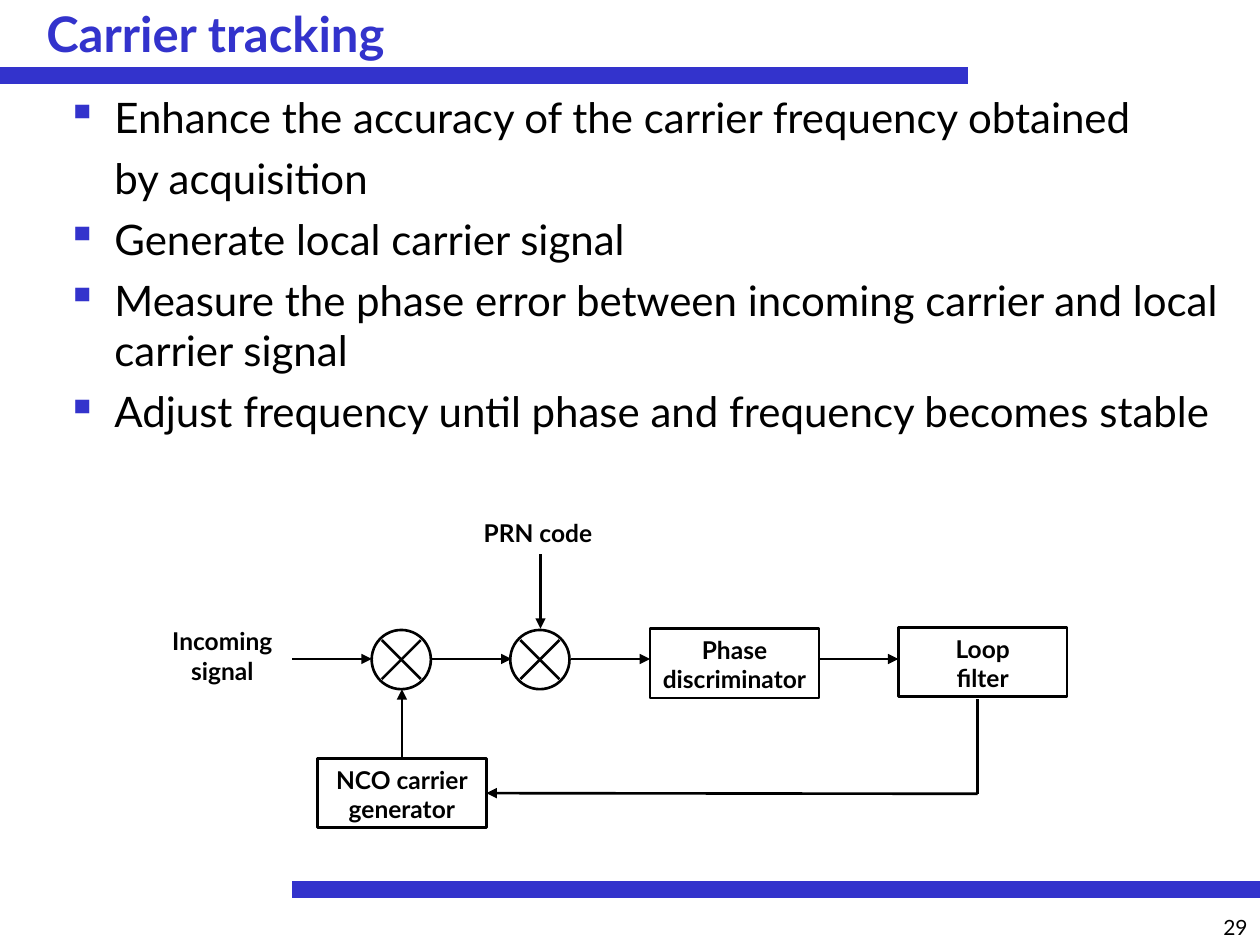
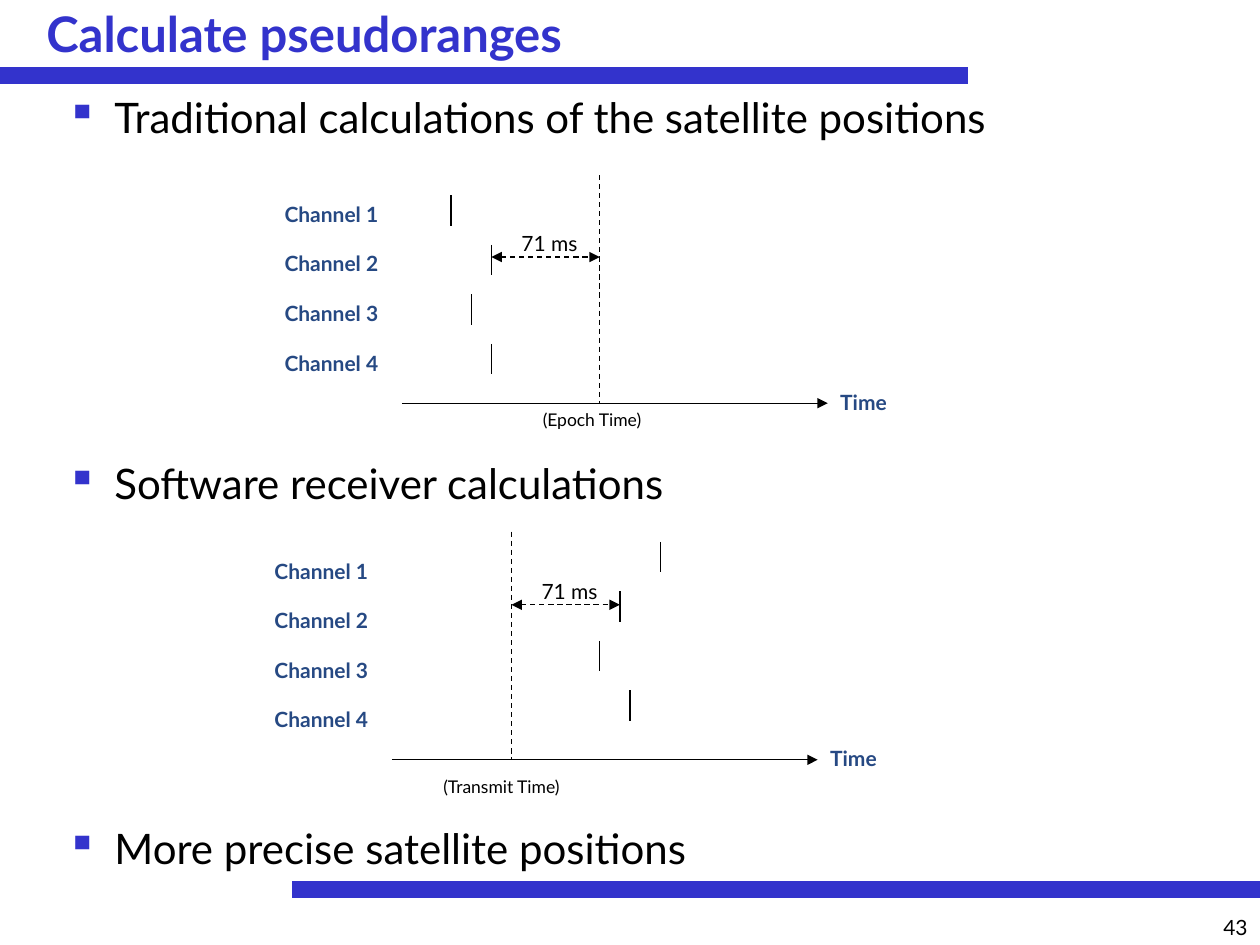
import pptx
import pptx.util
import pptx.dml.color
import pptx.enum.dml
import pptx.enum.shapes
import pptx.enum.text
import pptx.oxml
import pptx.oxml.ns

Inches, Pt = pptx.util.Inches, pptx.util.Pt
RGB = pptx.dml.color.RGBColor
ALIGN = pptx.enum.text.PP_ALIGN
ANCHOR = pptx.enum.text.MSO_ANCHOR
SHAPE = pptx.enum.shapes.MSO_SHAPE
STRAIGHT = pptx.enum.shapes.MSO_CONNECTOR.STRAIGHT
DASH = pptx.enum.dml.MSO_LINE.DASH

# Shared look
BLUE = RGB(0x33, 0x33, 0xCC)
NAVY = RGB(0x26, 0x49, 0x83)
BLACK = RGB(0, 0, 0)
FONT = "Lato"
BANDS = [((0, 0.6), (7.68, 0.6)), ((2.32, 7.06), (10, 7.06))]
HANG = 0.38
DIAGRAM_GAP = 180  # points kept free between bullets for a timeline

# Carrier tracking: (text, bulleted, space before)
TRACKING_POINTS = [
    ("Enhance the accuracy of the carrier frequency obtained", True, 6),
    ("by acquisition", False, 6),
    ("Generate local carrier signal", True, 6),
    ("Measure the phase error between incoming carrier and local carrier signal", True, 6),
    ("Adjust frequency until phase and frequency becomes stable", True, 6),
]
BLOCK_SIZE = (1.34, 0.55)
BLOCKS = {
    "nco": ("NCO carrier\ngenerator", 2.52, 6.02),
    "discriminator": ("Phase\ndiscriminator", 5.16, 4.99),
    "filter": ("Loop\nfilter", 7.13, 4.98),
}
MIXER_LEFTS = [2.95, 4.05]
MIXER_TOP, MIXER_SIZE, CROSS_INSET = 5, 0.47, 0.08
SIGNAL_LABELS = [
    ("Incoming\nsignal", (1.2, 4.92, 1.13, 0.57)),
    ("PRN code", (3.71, 4.06, 1.12, 0.34)),
]
SIGNAL_Y = 5.23
SIGNAL_HOPS = [(2.32, 2.95), (3.43, 4.06), (4.53, 5.16), (6.5, 7.13)]
FEEDBACK_X, FEEDBACK_Y = 7.76, 6.3

# Calculate pseudoranges
RANGE_POINTS = [
    ("Traditional calculations of the satellite positions", True, 6),
    ("Software receiver calculations", True, DIAGRAM_GAP),
    ("More precise satellite positions", True, DIAGRAM_GAP),
]
CHANNELS = ["Channel 1", "Channel 2", "Channel 3", "Channel 4"]
CHANNEL_PITCH, PULSE_HEIGHT, AXIS_LENGTH = 0.393, 0.24, 3.38
TIMELINES = [
    dict(axis=(3.19, 3.2), pulses=[3.58, 3.9, 3.74, 3.9], first_pulse=1.55,
         marker=4.76, span=(3.9, 4.76, 2.04),
         caption="(Epoch Time)", caption_box=(4.21, 3.2, 1.03, 0.27)),
    dict(axis=(3.11, 6.03), pulses=[5.24, 4.92, 4.76, 5], first_pulse=4.3,
         marker=4.06, span=(4.06, 4.92, 4.8),
         caption="(Transmit Time)", caption_box=(3.42, 6.11, 1.21, 0.27)),
]


def inches(values):
    return [Inches(value) for value in values]


def write(frame, text, size=14, bold=False, color=BLACK, align=ALIGN.LEFT,
          anchor=ANCHOR.TOP, wrap=True, side=0.1):
    frame.word_wrap = wrap
    frame.vertical_anchor = anchor
    frame.margin_left = frame.margin_right = Inches(side)
    frame.margin_top = frame.margin_bottom = Inches(0.05)
    for number, line in enumerate(text.split("\n")):
        paragraph = frame.add_paragraph() if number else frame.paragraphs[0]
        paragraph.alignment = align
        run = paragraph.add_run()
        run.text = line
        run.font.name, run.font.size, run.font.bold = FONT, Pt(size), bold
        run.font.color.rgb = color


def add_label(slide, text, box, **style):
    frame = slide.shapes.add_textbox(*inches(box)).text_frame
    write(frame, text, **style)
    return frame


def add_line(slide, start, end, width=1.5, color=BLACK, dash=None, heads=()):
    """heads lists the ends with an arrow: headEnd at start, tailEnd at end."""
    line = slide.shapes.add_connector(STRAIGHT, *inches(start + end))
    line.line.color.rgb, line.line.width = color, Pt(width)
    if dash:
        line.line.dash_style = dash
    outline = line.line._get_or_add_ln()
    for head in heads:
        arrow = pptx.oxml.ns.qn("a:" + head)
        outline.append(outline.makeelement(arrow, {"type": "triangle"}))
    properties = line._element.spPr
    properties.append(properties.makeelement(pptx.oxml.ns.qn("a:effectLst"), {}))
    return line


def add_outline(slide, kind, box):
    shape = slide.shapes.add_shape(kind, *inches(box))
    shape.shadow.inherit = False
    shape.fill.background()
    shape.line.color.rgb, shape.line.width = BLACK, Pt(1.5)
    return shape


def add_bullet(properties):
    namespace = pptx.oxml.ns.nsdecls("a")
    for xml in (f'<a:buClr {namespace}><a:srgbClr val="{BLUE}"/></a:buClr>',
                f'<a:buChar {namespace} char="▪"/>'):
        properties.append(pptx.oxml.parse_xml(xml))


def add_base(deck, title, points, number):
    slide = deck.slides.add_slide(deck.slide_layouts[6])
    for start, end in BANDS:
        add_line(slide, start, end, width=10, color=BLUE)
    add_label(slide, title, (0.27, 0.05, 7.4, 0.43), size=28, bold=True,
              color=BLUE, anchor=ANCHOR.MIDDLE)
    body = add_label(slide, "\n".join(point[0] for point in points),
                     (0.43, 0.68, 9.57, 6.3), size=24)
    for paragraph, (_, bulleted, space) in zip(body.paragraphs, points):
        paragraph.space_before = Pt(space)
        properties = paragraph._p.get_or_add_pPr()
        properties.set("marL", str(Inches(HANG)))
        properties.set("indent", str(Inches(-HANG) if bulleted else 0))
        if bulleted:
            add_bullet(properties)
    add_label(slide, str(number), (7.59, 7.21, 2.41, 0.28), size=12, align=ALIGN.RIGHT)
    return slide


def add_mixer(slide, left):
    add_outline(slide, SHAPE.OVAL, (left, MIXER_TOP, MIXER_SIZE, MIXER_SIZE))
    near, far = left + CROSS_INSET, left + MIXER_SIZE - CROSS_INSET
    top, bottom = MIXER_TOP + CROSS_INSET, MIXER_TOP + MIXER_SIZE - CROSS_INSET
    add_line(slide, (near, top), (far, bottom))
    add_line(slide, (far, top), (near, bottom))


def add_tracking_loop(slide):
    # Blocks, mixers and inputs
    blocks = {}
    for key, (text, left, top) in BLOCKS.items():
        blocks[key] = add_outline(slide, SHAPE.RECTANGLE, (left, top) + BLOCK_SIZE)
        write(blocks[key].text_frame, text, bold=True, align=ALIGN.CENTER, side=0.05)
    for left in MIXER_LEFTS:
        add_mixer(slide, left)
    for text, box in SIGNAL_LABELS:
        add_label(slide, text, box, bold=True, align=ALIGN.CENTER, wrap=False)

    # Signal path
    arrow = ["tailEnd"]
    for start, end in SIGNAL_HOPS:
        add_line(slide, (start, SIGNAL_Y), (end, SIGNAL_Y), heads=arrow)
    add_line(slide, (4.29, 4.4), (4.29, 4.99), heads=arrow)

    # Feedback path
    corner = (FEEDBACK_X, FEEDBACK_Y)
    add_line(slide, (FEEDBACK_X, 5.55), corner)
    feedback = add_line(slide, corner, (3.86, FEEDBACK_Y), heads=arrow)
    feedback.end_connect(blocks["nco"], 3)
    carrier = add_line(slide, (3.19, 6.02), (3.19, 5.47), heads=arrow)
    carrier.begin_connect(blocks["nco"], 0)


def add_timeline(slide, axis, pulses, first_pulse, marker, span, caption, caption_box):
    left, base = axis
    right = left + AXIS_LENGTH
    heading = dict(size=12, bold=True, color=NAVY)

    # Axis and reference time
    add_line(slide, axis, (right, base), width=0.75, heads=["tailEnd"])
    add_label(slide, "Time", (right, base - 0.16, 1.18, 0.3), **heading)
    add_line(slide, (marker, base - 1.81), (marker, base), width=0.75, dash=DASH)
    add_label(slide, caption, caption_box, size=10, wrap=False)

    # Channels
    for row, (channel, pulse) in enumerate(zip(CHANNELS, pulses)):
        offset = row * CHANNEL_PITCH
        add_label(slide, channel, (left - 1.03, base - 1.65 + offset, 1.18, 0.3), **heading)
        top = first_pulse + offset
        add_line(slide, (pulse, top), (pulse, top + PULSE_HEIGHT), width=0.75)

    # Travel time
    start, end, height = span
    add_line(slide, (start, height), (end, height), width=0.75, dash=DASH,
             heads=["headEnd", "tailEnd"])
    add_label(slide, "71 ms", (start + 0.14, height - 0.26, 0.67, 0.3), size=12, wrap=False)


def main():
    deck = pptx.Presentation()
    deck.slide_width, deck.slide_height = Inches(10), Inches(7.5)
    add_tracking_loop(add_base(deck, "Carrier tracking", TRACKING_POINTS, 29))
    pseudoranges = add_base(deck, "Calculate pseudoranges", RANGE_POINTS, 43)
    for timeline in TIMELINES:
        add_timeline(pseudoranges, **timeline)
    deck.save("out.pptx")


if __name__ == "__main__":
    main()
